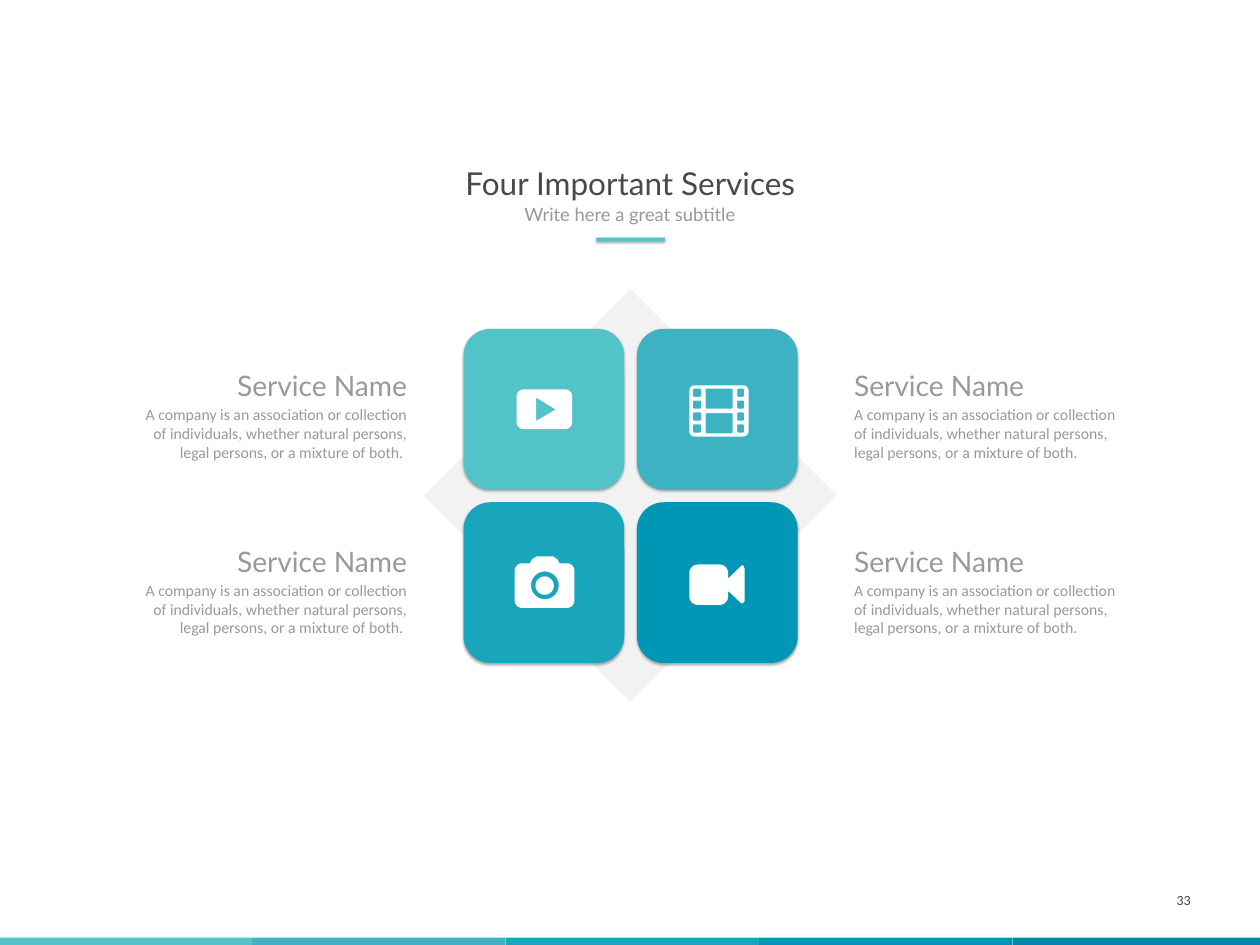
import math

from lxml import etree
from pptx import Presentation
from pptx import util as u
from pptx.dml.color import RGBColor
from pptx.enum import shapes, text
from pptx.oxml.ns import qn

PALETTE = ["51C3C9", "3CB2C3", "19A5BC", "0096B6", "0086AB"]
DARK, GRAY, PALE, WHITE = "494949", "999999", "F2F2F2", "FFFFFF"
LEFT, CENTER, RIGHT = text.PP_ALIGN.LEFT, text.PP_ALIGN.CENTER, text.PP_ALIGN.RIGHT
TILE_LEFT, TILE_TOP, TILE_SIZE, TILE_PITCH = 18.69, 13.26, 6.48, 6.99
SERVICE_TOP, SERVICE_PITCH = 14.66, 7.09
SERVICE_NAME = "Service Name"
SERVICE_TEXT = ("A company is an association or collection of individuals, "
                "whether natural persons, legal persons, or a mixture of both.")


def color(hex_string):
    return RGBColor.from_string(hex_string)


def paint(shape, fill):
    shape.fill.solid()
    shape.fill.fore_color.rgb = color(fill)
    shape.line.fill.background()
    shape.shadow.inherit = False


def add_soft_shadow(shape):
    effects = shape._element.spPr.find(qn("a:effectLst"))
    shadow = etree.SubElement(effects, qn("a:outerShdw"), blurRad=str(u.Pt(3.1)),
                              dist=str(u.Pt(1.8)), dir="5400000", rotWithShape="0")
    shade = etree.SubElement(shadow, qn("a:srgbClr"), val="000000")
    etree.SubElement(shade, qn("a:alpha"), val="35000")


def add_block(slide, kind, left, top, width, height, fill, shadowed=False):
    shape = slide.shapes.add_shape(kind, u.Cm(left), u.Cm(top), u.Cm(width), u.Cm(height))
    paint(shape, fill)
    if shadowed:
        add_soft_shadow(shape)
    return shape


def write(shape, words, size, font, fill, align, wrap=True, spacing=None,
          margins=(0.25, 0.13), anchor=text.MSO_ANCHOR.TOP):
    frame = shape.text_frame
    frame.text = words
    frame.word_wrap = wrap
    frame.auto_size = text.MSO_AUTO_SIZE.NONE
    frame.vertical_anchor = anchor
    frame.margin_left = frame.margin_right = u.Cm(margins[0])
    frame.margin_top = frame.margin_bottom = u.Cm(margins[1])
    paragraph = frame.paragraphs[0]
    paragraph.alignment = align
    paragraph.line_spacing = spacing
    run = paragraph.runs[0]
    run.font.size = u.Pt(size)
    run.font.name = font
    run.font.color.rgb = color(fill)


def add_text(slide, left, top, width, height, *args, **kwargs):
    box = slide.shapes.add_textbox(u.Cm(left), u.Cm(top), u.Cm(width), u.Cm(height))
    write(box, *args, **kwargs)


def rounded(left, top, width, height, radius):
    corners = [(left + width - radius, top + height - radius),
               (left + radius, top + height - radius),
               (left + radius, top + radius),
               (left + width - radius, top + radius)]
    return [(x + radius * math.cos(math.radians(90 * index + step)),
             y + radius * math.sin(math.radians(90 * index + step)))
            for index, (x, y) in enumerate(corners) for step in range(0, 91, 10)]


def circle(left, top, diameter):
    return rounded(left, top, diameter, diameter, diameter / 2)


def add_icon(slide, outlines):
    builder = None
    for outline in outlines:
        points = [(u.Cm(x), u.Cm(y)) for x, y in outline]
        if builder is None:
            builder = slide.shapes.build_freeform(*points[0])
        else:
            builder.move_to(*points[0])
        builder.add_line_segments(points[1:], close=True)
    paint(builder.convert_to_shape(), WHITE)


def play_icon():
    return [rounded(20.83, 15.7, 2.24, 1.6, 0.28),
            [(21.62, 16.03), (22.4, 16.51), (21.62, 16.97)]]


def film_icon():
    perforations = [rounded(left, 15.67 + 0.48 * row, width, 0.33, 0.05)
                    for left, width in ((27.94, 0.33), (29.72, 0.28)) for row in range(4)]
    frames = [rounded(28.45, top, 1.09, 0.81, 0.05) for top in (15.67, 16.66)]
    return [rounded(27.79, 15.54, 2.39, 2.06, 0.21)] + perforations + frames


def camera_icon():
    viewfinder = [(21.36, 22.71), (21.44, 22.56), (21.64, 22.43),
                  (22.3, 22.43), (22.48, 22.56), (22.56, 22.71)]
    return [rounded(20.75, 22.71, 2.41, 1.8, 0.3), viewfinder,
            circle(21.41, 23.04, 1.12), circle(21.59, 23.24, 0.74)]


def video_icon():
    lens = [(29.36, 23.32), (29.87, 22.83), (29.95, 22.78), (30.02, 22.91),
            (30.02, 24.23), (29.95, 24.33), (29.87, 24.31), (29.36, 23.83)]
    return [rounded(27.79, 22.76, 1.57, 1.63, 0.35), lens]


def add_heading(slide):
    title = slide.shapes.title
    title.left, title.top = u.Cm(18.39), u.Cm(6.76)
    title.width, title.height = u.Cm(14.05), u.Cm(1.5)
    write(title, "Four Important Services", 36, "Lato", DARK, CENTER, wrap=False, spacing=0.8)
    add_block(slide, shapes.MSO_SHAPE.RECTANGLE, 24.05, 9.58, 2.77, 0.15, PALETTE[0], True)
    add_text(slide, 20.85, 8.23, 9.09, 0.97, "Write here a great subtitle", 21, "Lato",
             GRAY, CENTER, wrap=False, spacing=0.8)


def add_tiles(slide):
    add_block(slide, shapes.MSO_SHAPE.DIAMOND, 17.09, 11.66, 16.64, 16.64, PALE)
    icons = [play_icon(), film_icon(), camera_icon(), video_icon()]
    for index, icon in enumerate(icons):
        row, column = divmod(index, 2)
        add_block(slide, shapes.MSO_SHAPE.ROUNDED_RECTANGLE,
                  TILE_LEFT + column * TILE_PITCH, TILE_TOP + row * TILE_PITCH,
                  TILE_SIZE, TILE_SIZE, PALETTE[index], True)
        add_icon(slide, icon)


def add_services(slide):
    margins = (0.38, 0.18)
    for left, align, ending in ((34.06, LEFT, ""), (5.11, RIGHT, " ")):
        for row in range(2):
            top = SERVICE_TOP + row * SERVICE_PITCH
            add_text(slide, left, top, 11.68, 1.75, SERVICE_NAME, 32.2, "Lato",
                     GRAY, align, margins=margins)
            add_text(slide, left, top + 1.47, 11.68, 2.69, SERVICE_TEXT + ending, 18,
                     "Calibri", GRAY, align, margins=margins)


def add_footer(slide):
    for index, fill in enumerate(PALETTE):
        add_block(slide, shapes.MSO_SHAPE.RECTANGLE, -0.05 + 10.22 * index, 37.8,
                  10.21, 0.5, fill)
    add_text(slide, 36.83, 35.28, 11.43, 2.03, "33", 16, "Calibri", DARK, RIGHT,
             anchor=text.MSO_ANCHOR.MIDDLE)


def main():
    presentation = Presentation()
    presentation.slide_width, presentation.slide_height = u.Cm(50.8), u.Cm(38.1)
    slide = presentation.slides.add_slide(presentation.slide_layouts[5])
    add_footer(slide)
    add_tiles(slide)
    add_heading(slide)
    add_services(slide)
    presentation.save("out.pptx")


if __name__ == "__main__":
    main()
